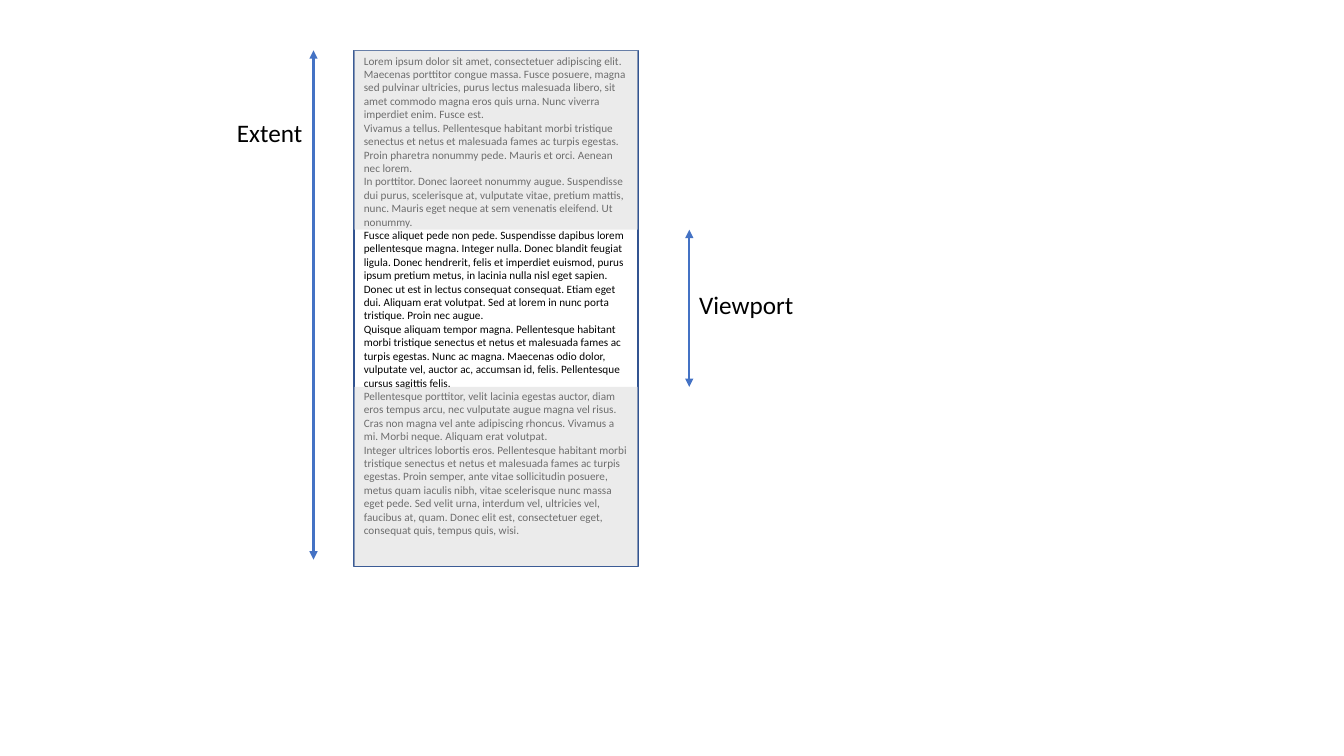
import pptx
import pptx.dml.color
import pptx.enum.shapes
import pptx.enum.text
import pptx.oxml.ns
import pptx.util
from lxml import etree

Cm = pptx.util.Cm
Pt = pptx.util.Pt
RGBColor = pptx.dml.color.RGBColor
RECTANGLE = pptx.enum.shapes.MSO_SHAPE.RECTANGLE
STRAIGHT = pptx.enum.shapes.MSO_CONNECTOR.STRAIGHT
qn = pptx.oxml.ns.qn

BLACK = RGBColor(0x00, 0x00, 0x00)
VEIL_GREY = RGBColor(0xD9, 0xD9, 0xD9)
ARROW_BLUE = RGBColor(0x44, 0x72, 0xC4)
BORDER_BLUE = RGBColor(0x32, 0x54, 0x91)

DOCUMENT_LEFT, DOCUMENT_TOP = 8.92, 1.27
DOCUMENT_WIDTH, DOCUMENT_HEIGHT = 7.16, 13
VEIL_HEIGHT = 4.52
VIEWPORT_TOP = DOCUMENT_TOP + VEIL_HEIGHT
VIEWPORT_BOTTOM = DOCUMENT_TOP + DOCUMENT_HEIGHT - VEIL_HEIGHT
EXTENT_X, VIEWPORT_X = 7.9, 17.37

PARAGRAPHS = [
    "Lorem ipsum dolor sit amet, consectetuer adipiscing elit. Maecenas porttitor "
    "congue massa. Fusce posuere, magna sed pulvinar ultricies, purus lectus malesuada "
    "libero, sit amet commodo magna eros quis urna. Nunc viverra imperdiet enim. Fusce est.",
    "Vivamus a tellus. Pellentesque habitant morbi tristique senectus et netus et "
    "malesuada fames ac turpis egestas. Proin pharetra nonummy pede. Mauris et orci. "
    "Aenean nec lorem.",
    "In porttitor. Donec laoreet nonummy augue. Suspendisse dui purus, scelerisque at, "
    "vulputate vitae, pretium mattis, nunc. Mauris eget neque at sem venenatis eleifend. "
    "Ut nonummy.",
    "Fusce aliquet pede non pede. Suspendisse dapibus lorem pellentesque magna. Integer "
    "nulla. Donec blandit feugiat ligula. Donec hendrerit, felis et imperdiet euismod, "
    "purus ipsum pretium metus, in lacinia nulla nisl eget sapien.",
    "Donec ut est in lectus consequat consequat. Etiam eget dui. Aliquam erat volutpat. "
    "Sed at lorem in nunc porta tristique. Proin nec augue.",
    "Quisque aliquam tempor magna. Pellentesque habitant morbi tristique senectus et "
    "netus et malesuada fames ac turpis egestas. Nunc ac magna. Maecenas odio dolor, "
    "vulputate vel, auctor ac, accumsan id, felis. Pellentesque cursus sagittis felis.",
    "Pellentesque porttitor, velit lacinia egestas auctor, diam eros tempus arcu, nec "
    "vulputate augue magna vel risus. Cras non magna vel ante adipiscing rhoncus. Vivamus "
    "a mi. Morbi neque. Aliquam erat volutpat.",
    "Integer ultrices lobortis eros. Pellentesque habitant morbi tristique senectus et "
    "netus et malesuada fames ac turpis egestas. Proin semper, ante vitae sollicitudin "
    "posuere, metus quam iaculis nibh, vitae scelerisque nunc massa eget pede. Sed velit "
    "urna, interdum vel, ultricies vel, faucibus at, quam. Donec elit est, consectetuer "
    "eget, consequat quis, tempus quis, wisi.",
]


def set_format(target, values):
    for name, value in values.items():
        setattr(target, name, value)


def write_paragraph(para, text, size):
    para.alignment = pptx.enum.text.PP_ALIGN.LEFT
    span = para.add_run()
    span.text = text
    set_format(span.font, {"name": "Calibri", "size": Pt(size)})
    span.font.color.rgb = BLACK


deck = pptx.Presentation()
set_format(deck, {"slide_width": Cm(33.87), "slide_height": Cm(19.05)})
page = deck.slides.add_slide(deck.slide_layouts[6])

# The whole document
document = page.shapes.add_shape(
    RECTANGLE, Cm(DOCUMENT_LEFT), Cm(DOCUMENT_TOP), Cm(DOCUMENT_WIDTH), Cm(DOCUMENT_HEIGHT)
)
document.shadow.inherit = False
document.fill.background()
document.line.color.rgb = BORDER_BLUE
document.line.width = Pt(1)
frame = document.text_frame
set_format(frame, {
    "word_wrap": True,
    "vertical_anchor": pptx.enum.text.MSO_ANCHOR.TOP,
    "margin_top": Cm(0.09),
    "margin_bottom": Cm(0.09),
})
for index, text in enumerate(PARAGRAPHS):
    para = frame.add_paragraph() if index else frame.paragraphs[0]
    write_paragraph(para, text, 8)

# Half-transparent veils over the parts outside the viewport
for top in (DOCUMENT_TOP, VIEWPORT_BOTTOM):
    veil = page.shapes.add_shape(
        RECTANGLE, Cm(DOCUMENT_LEFT), Cm(top), Cm(DOCUMENT_WIDTH), Cm(VEIL_HEIGHT)
    )
    veil.shadow.inherit = False
    veil.fill.solid()
    veil.fill.fore_color.rgb = VEIL_GREY
    veil.line.fill.background()
    colour = veil.fill._xPr.find(qn("a:solidFill")).find(qn("a:srgbClr"))
    etree.SubElement(colour, qn("a:alpha"), val="50000")

# Double-headed measuring arrows
for x, top, bottom in (
    (EXTENT_X, DOCUMENT_TOP, 14.1),
    (VIEWPORT_X, VIEWPORT_TOP, VIEWPORT_BOTTOM),
):
    arrow = page.shapes.add_connector(STRAIGHT, Cm(x), Cm(top), Cm(x), Cm(bottom))
    arrow.line.color.rgb = ARROW_BLUE
    arrow.line.width = Pt(1.75)
    outline = arrow.line._get_or_add_ln()
    for end in ("a:headEnd", "a:tailEnd"):
        etree.SubElement(outline, qn(end), type="triangle")
    etree.SubElement(arrow._element.spPr, qn("a:effectLst"))

# Labels beside the arrows
for text, left, top, width in (
    ("Viewport", VIEWPORT_X, 7.16, 2.92),
    ("Extent", EXTENT_X - 2.18, 2.84, 2.18),
):
    box = page.shapes.add_textbox(Cm(left), Cm(top), Cm(width), Cm(1.02))
    set_format(box.text_frame, {
        "word_wrap": False,
        "auto_size": pptx.enum.text.MSO_AUTO_SIZE.SHAPE_TO_FIT_TEXT,
    })
    write_paragraph(box.text_frame.paragraphs[0], text, 18)

deck.save("out.pptx")
